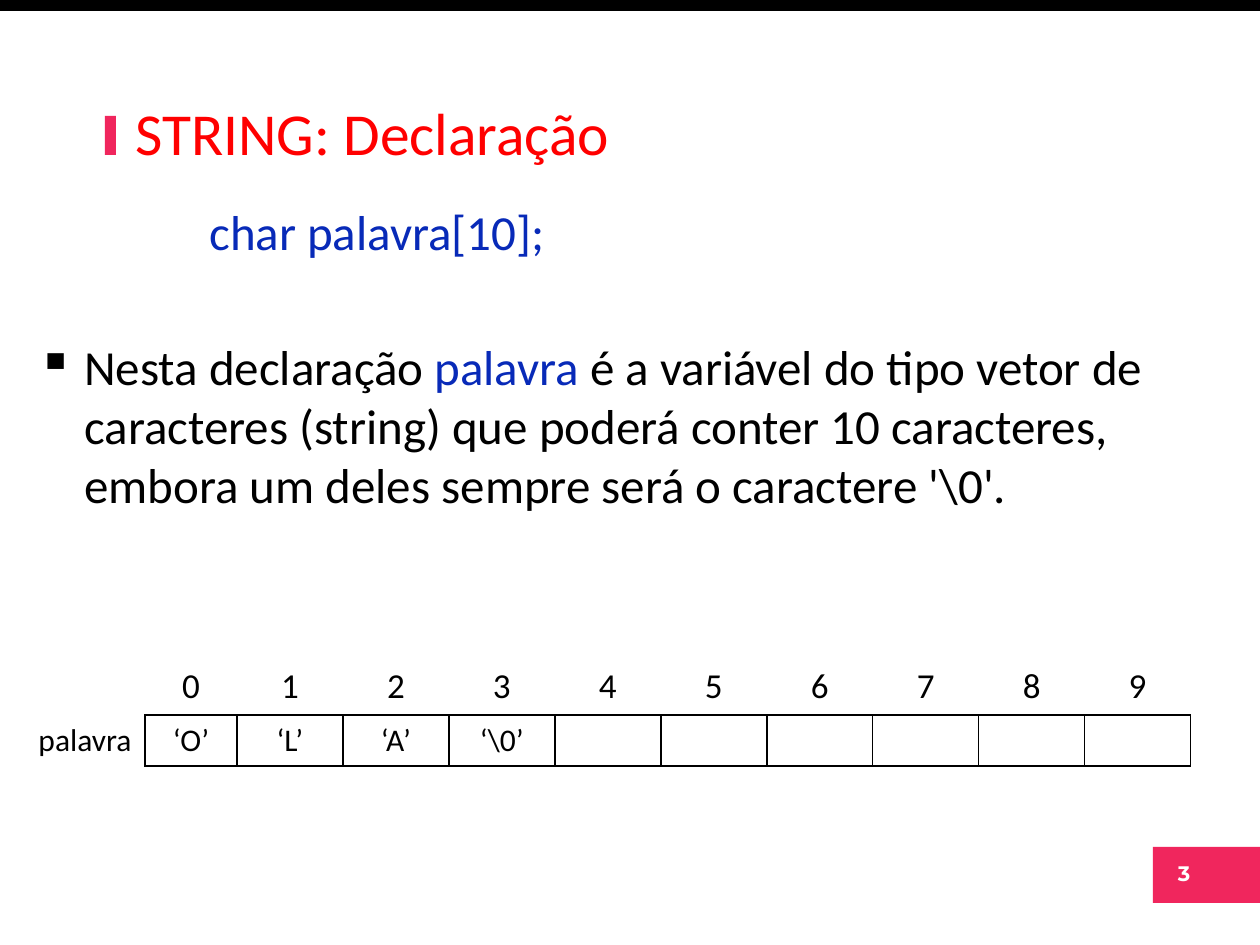
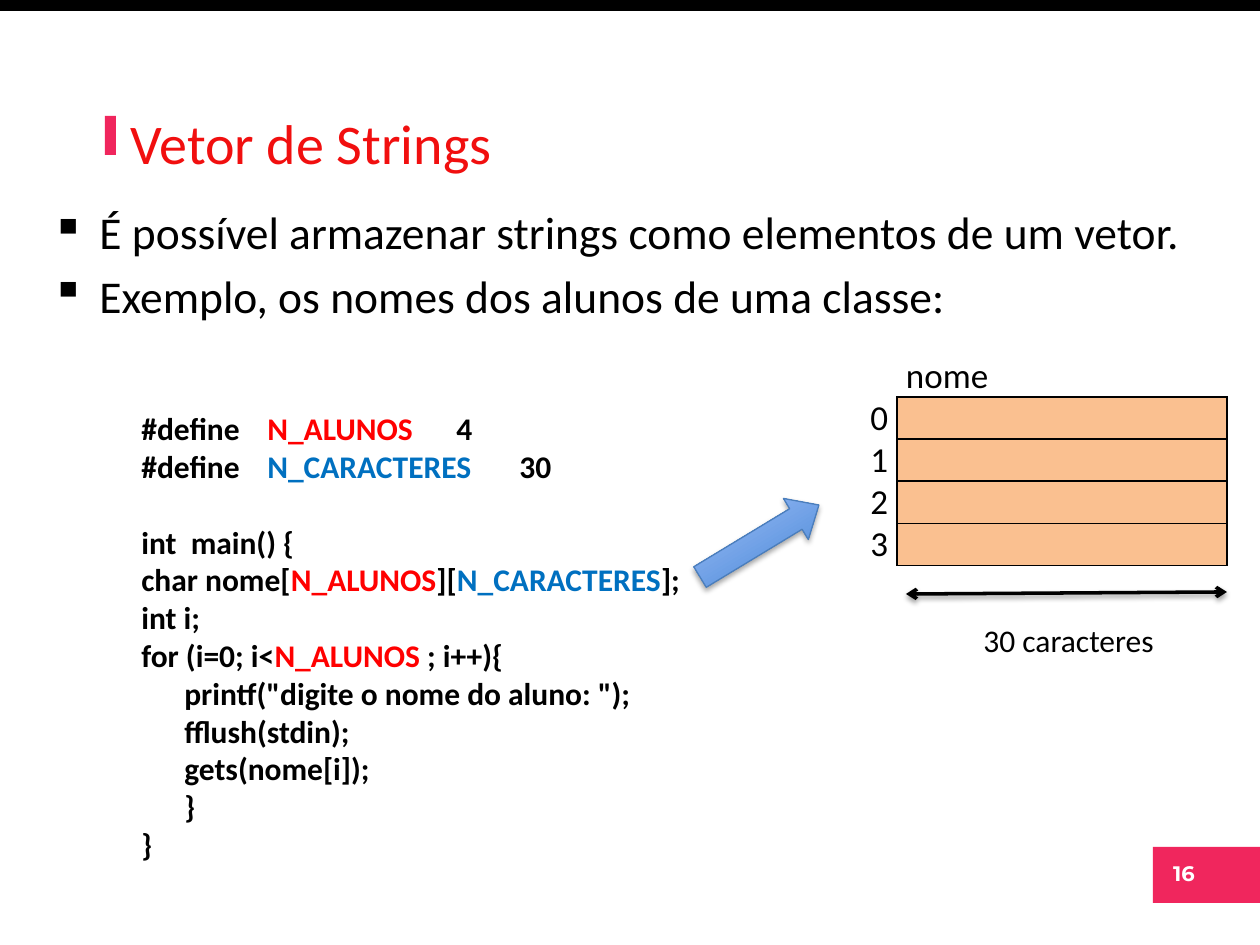
import dataclasses

import lxml.etree
import pptx
import pptx.dml.color
import pptx.enum.shapes
import pptx.enum.text
import pptx.oxml.ns
import pptx.util

SCALE = 914400 / 126  # EMU in one px
ALIGN = pptx.enum.text.PP_ALIGN
SHAPE = pptx.enum.shapes.MSO_SHAPE
PLAIN = "{2D5ABB26-0587-4C30-8999-92F81FD0307C}"  # table style with no grid


@dataclasses.dataclass(frozen=True)
class Theme:
    font: str = "Calibri"
    badge: str = "Montserrat"
    ink: str = "000000"
    paper: str = "FFFFFF"
    pink: str = "F0265D"
    red: str = "FF0000"
    rose: str = "F10F0F"
    navy: str = "082AB8"
    blue: str = "0070C0"
    peach: str = "FAC090"
    edge: str = "4B7EBC"
    deep: str = "3F80CE"
    pale: str = "A4C4FF"
    head: int = 34
    title: int = 32
    lead: int = 28
    body: int = 26
    index: int = 20
    code: int = 18
    page: int = 12


def px(n):
    return round(n * SCALE)


def rgb(hue):
    return pptx.dml.color.RGBColor.from_string(hue)


def sub(parent, tag, **attrs):
    """Append a drawing element to parent."""
    node = lxml.etree.SubElement(parent, pptx.oxml.ns.qn("a:" + tag))
    for key, value in attrs.items():
        node.set(key, str(value))
    return node


class Deck:
    def __init__(self, theme):
        self.theme = theme
        self.show = pptx.Presentation()
        self.show.slide_width, self.show.slide_height = px(1260), px(945)
        self.slide = None
        self.marks = {
            "palavra ": theme.navy,
            "N_ALUNOS": theme.red,
            "N_CARACTERES": theme.blue,
        }

    def page(self, number, title, box, size, hue):
        """Start a slide with its bands, title and page number."""
        t = self.theme
        self.slide = self.show.slides.add_slide(self.show.slide_layouts[6])
        self.rect((0, 0, 1260, 11), t.ink)
        self.rect((1153, 847, 108, 56), t.pink)
        self.rect((105, 116, 11, 39), t.pink)
        badge = self.frame((1154, 854, 60, 38), wrap=False)
        self.say(badge, number, t.page, t.paper, bold=True,
                 align=ALIGN.CENTER, font=t.badge)
        self.say(self.frame(box, middle=True), title, size, hue)

    def shape(self, kind, box):
        item = self.slide.shapes.add_shape(kind, *map(px, box))
        item.shadow.inherit = False
        return item

    def rect(self, box, hue):
        item = self.shape(SHAPE.RECTANGLE, box)
        item.fill.solid()
        item.fill.fore_color.rgb = rgb(hue)
        item.line.fill.background()

    def frame(self, box, wrap=True, middle=False):
        """Add a text box and return its text frame."""
        frame = self.slide.shapes.add_textbox(*map(px, box)).text_frame
        frame.word_wrap = wrap
        if middle:
            frame.vertical_anchor = pptx.enum.text.MSO_ANCHOR.MIDDLE
        return frame

    def say(self, frame, words, size, hue=None, bold=False, align=None,
            font=None, left=0, gap=0, bullet=False):
        """Add a paragraph; parts between bars take the colour of their mark."""
        para = frame.paragraphs[0] if not frame.text else frame.add_paragraph()
        hue = hue or self.theme.ink
        props = para._p.get_or_add_pPr()
        if left:
            props.set("marL", str(px(left)))
        if bullet:
            props.set("indent", str(-px(left)))
            sub(props, "buChar", char="▪")
        para.space_before = pptx.util.Pt(gap)
        para.alignment = align
        para.font.size = pptx.util.Pt(size)
        para.font.name = font or self.theme.font
        para.font.bold = bold
        para.font.color.rgb = rgb(hue)
        parts = words.split("|")
        for part in parts:
            run = para.add_run()
            run.text = part
            if len(parts) > 1:
                run.font.color.rgb = rgb(self.marks.get(part, hue))

    def table(self, left, top, cols, rows):
        area = (left, top, sum(cols), sum(rows))
        grid = self.slide.shapes.add_table(
            len(rows), len(cols), *map(px, area)).table
        grid._tbl.tblPr[0].text = PLAIN
        grid.first_row = grid.horz_banding = False
        for col, width in zip(grid.columns, cols):
            col.width = px(width)
        for row, height in zip(grid.rows, rows):
            row.height = px(height)
        return grid

    def cell(self, cell, words, size, align=None, fill=None, boxed=False,
             inset=None):
        if inset is not None:
            cell.margin_left = cell.margin_right = px(inset)
            cell.margin_top = cell.margin_bottom = 0
        if words:
            self.say(cell.text_frame, words, size, align=align)
        else:
            cell.text_frame.paragraphs[0].font.size = pptx.util.Pt(size)
        if boxed:
            for side in ("lnL", "lnR", "lnT", "lnB"):
                line = sub(cell._tc.get_or_add_tcPr(), side, w=12700)
                sub(sub(line, "solidFill"), "srgbClr", val=self.theme.ink)
        if fill:
            cell.fill.solid()
            cell.fill.fore_color.rgb = rgb(fill)
        else:
            cell.fill.background()

    def shade(self, item, alpha, far):
        """Give a shape or connector a soft shadow below it."""
        props = item._element.spPr
        effects = props.find(pptx.oxml.ns.qn("a:effectLst"))
        if effects is None:
            effects = sub(props, "effectLst")
        cast = sub(effects, "outerShdw", blurRad=pptx.util.Pt(3.1),
                   dist=pptx.util.Pt(far), dir=5400000, rotWithShape=0)
        tint = sub(cast, "srgbClr", val=self.theme.ink)
        sub(tint, "alpha", val=alpha * 1000)

    def span(self, start, end):
        """Draw a line with an arrowhead at both ends."""
        line = self.slide.shapes.add_connector(
            pptx.enum.shapes.MSO_CONNECTOR.STRAIGHT, *map(px, start + end))
        line.line.color.rgb = rgb(self.theme.ink)
        line.line.width = pptx.util.Pt(2)
        for tip in ("headEnd", "tailEnd"):
            sub(line.line._get_or_add_ln(), tip, type="arrow")
        self.shade(line, 38, 1.6)

    def arrow(self, box, turn):
        item = self.shape(SHAPE.RIGHT_ARROW, box)
        item.rotation = turn
        item.adjustments[0], item.adjustments[1] = 0.5, 0.56
        item.fill.gradient()
        item.fill.gradient_angle = 90
        hues = (self.theme.deep, self.theme.pale)
        for stop, hue in zip(item.fill.gradient_stops, hues):
            stop.color.rgb = rgb(hue)
        item.line.color.rgb = rgb(self.theme.edge)
        item.line.width = pptx.util.Pt(0.75)
        self.shade(item, 35, 1.8)


def declare(deck):
    t = deck.theme
    deck.page("3", "STRING: Declaração", (123, 55, 1111, 154), t.head, t.red)
    body = deck.frame((25, 195, 1211, 465))
    deck.say(body, "char palavra[10];", t.lead, t.navy, left=172,
             gap=t.lead / 5)
    deck.say(body, "Nesta declaração |palavra |é a variável do tipo vetor de "
             "caracteres (string) que poderá conter 10 caracteres, embora "
             "um deles sempre será o caractere '\\0'.",
             t.lead, left=47, gap=44, bullet=True)

    letters = ["‘O’", "‘L’", "‘A’", "‘\\0’"]
    grid = deck.table(25, 659, [120, 92] + [106] * 9, [56, 51])
    deck.cell(grid.cell(0, 0), "", t.code)
    deck.cell(grid.cell(1, 0), "palavra", t.code, ALIGN.CENTER)
    for i in range(10):
        letter = letters[i] if i < len(letters) else ""
        deck.cell(grid.cell(0, i + 1), str(i), t.index, ALIGN.CENTER)
        deck.cell(grid.cell(1, i + 1), letter, t.code, ALIGN.CENTER,
                  boxed=True)


def names(deck):
    t = deck.theme
    deck.page("16", "Vetor de Strings", (118, 63, 961, 158), t.title, t.rose)
    body = deck.frame((39, 198, 1168, 150))
    for words in ("É possível armazenar strings como elementos de um vetor.",
                  "Exemplo, os nomes dos alunos de uma classe:"):
        deck.say(body, words, t.body, left=48, gap=t.body / 5, bullet=True)

    code = deck.frame((129, 403, 604, 471))
    step, skip = 43, 21.6
    for left, gap, words in (
        (0, 0, "#define \t|N_ALUNOS| \t4"),
        (0, 0, "#define \t|N_CARACTERES| \t30"),
        (0, skip, "int  main() {"),
        (0, 0, "char nome[|N_ALUNOS|][|N_CARACTERES|];"),
        (0, 0, "int i;"),
        (0, 0, "for (i=0; i<|N_ALUNOS| ; i++){"),
        (step, 0, 'printf("digite o nome do aluno: ");'),
        (step, 0, "fflush(stdin);"),
        (step, 0, "gets(nome[i]);"),
        (step, 0, "}"),
        (0, 0, "}"),
    ):
        deck.say(code, words, t.code, bold=True, left=left, gap=gap)

    grid = deck.table(829, 355, [68, 330], [42] * 5)
    deck.cell(grid.cell(0, 0), "", t.code, inset=9)
    deck.cell(grid.cell(0, 1), "nome", t.index, inset=9)
    for i in range(4):
        deck.cell(grid.cell(i + 1, 0), str(i), t.index, ALIGN.RIGHT, inset=9)
        deck.cell(grid.cell(i + 1, 1), "", t.code, fill=t.peach, boxed=True,
                  inset=9)

    deck.span((906, 594), (1227, 592))
    deck.say(deck.frame((971, 615, 198, 50), wrap=False), "30 caracteres",
             t.code)
    deck.arrow((690, 517, 139, 48), 328.8)


def main():
    deck = Deck(Theme())
    declare(deck)
    names(deck)
    deck.show.save("out.pptx")


if __name__ == "__main__":
    main()
